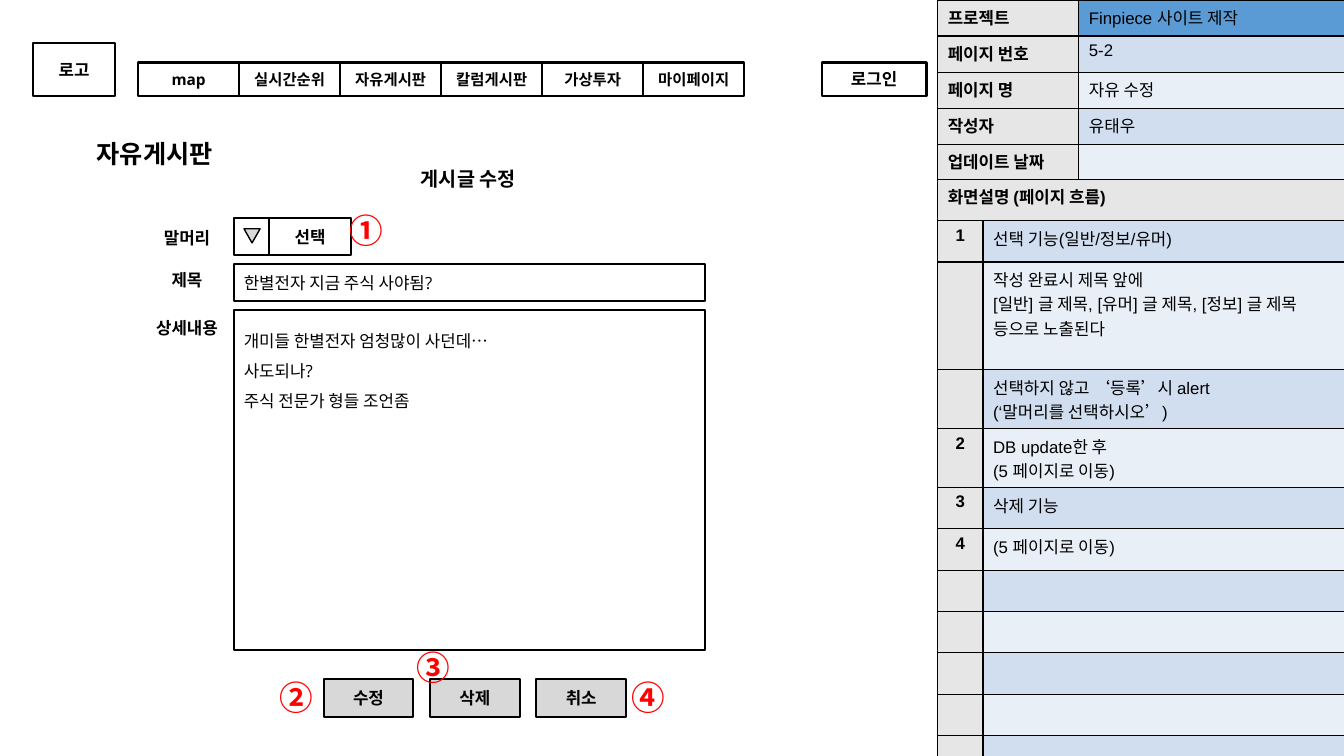
from collections import namedtuple

from lxml import etree
from pptx import Presentation, util as u
from pptx.dml.color import RGBColor
from pptx.enum import shapes, text
from pptx.oxml import ns

CELL = u.Inches(0.1)  # the slide is a grid of 133.3 columns by 75 rows
COLORS = {"ink": "000000", "mark": "FF0000", "button": "D8D8D8", "label": "E7E6E6",
          "title": "5B9BD5", "odd": "D0DEEF", "even": "E9EFF7"}
LEFT, CENTER = text.PP_ALIGN.LEFT, text.PP_ALIGN.CENTER
TOP, MIDDLE = text.MSO_ANCHOR.TOP, text.MSO_ANCHOR.MIDDLE
RECT = shapes.MSO_SHAPE.RECTANGLE
FIELD_HEIGHT = 3.7

Box = namedtuple("Box", "x y w h")


def within(box, x, y, w, h):
    return Box(box.x + x, box.y + y, w, h)


def emu(box):
    return [round(length * CELL) for length in box]


def rgb(name):
    return RGBColor.from_string(COLORS[name])


def write(frame, words, size=12, font="Open Sans", color="ink", bold=True,
          align=CENTER, anchor=MIDDLE, spacing=None, inset=(1, 1)):
    """Fill a text frame or table cell frame, one paragraph per line of words."""
    frame.word_wrap = True
    frame.vertical_anchor = anchor
    frame.margin_left = frame.margin_right = round(inset[0] * CELL)
    frame.margin_top = frame.margin_bottom = round(inset[1] * CELL)
    for index, line in enumerate(words.split("\n")):
        para = frame.add_paragraph() if index else frame.paragraphs[0]
        para.alignment = align
        para.line_spacing = spacing
        para.font.size = u.Pt(size)
        if line:
            span = para.add_run()
            span.text = line
            span.font.size, span.font.name, span.font.bold = u.Pt(size), font, bold
            span.font.color.rgb = rgb(color)


def add_label(page, box, words, **style):
    label = page.shapes.add_textbox(*emu(box))
    write(label.text_frame, words, **style)


def add_panel(page, box, words="", fill=None, kind=RECT, line=1.5, **style):
    panel = page.shapes.add_shape(kind, *emu(box))
    panel.shadow.inherit = False
    if fill:
        panel.fill.solid()
        panel.fill.fore_color.rgb = rgb(fill)
    else:
        panel.fill.background()
    panel.line.color.rgb = rgb("ink")
    panel.line.width = u.Pt(line)
    if words:
        write(panel.text_frame, words, **style)
    return panel


def add_mark(page, box, number):
    add_label(page, box, number, size=24, font="Noto Sans CJK KR", color="mark",
              align=LEFT, anchor=TOP, inset=(1, 0.5))


def draw_header(page, box):
    add_panel(page, within(box, 0, 0, 8.1, 5.2), "로고")
    menu = ["map", "실시간순위", "자유게시판", "칼럼게시판", "가상투자", "마이페이지"]
    for index, name in enumerate(menu):
        add_panel(page, within(box, 10.4 + index * 10.02, 1.9, 10.02, 3.3), name, size=11)
    add_panel(page, within(box, box.w - 10.4, 1.9, 10.4, 3.3), "로그인")


def draw_titles(page, box):
    add_label(page, within(box, 0, 0, 18.1, 3.7), "자유게시판", size=18)
    add_label(page, within(box, 31.1, 2.5, 18.1, 3.7), "게시글 수정", size=14)


def draw_form(page, box):
    labels = [("말머리", 0.15, 8.3), ("제목", 4.3, 8.3), ("상세내용", 9.1, 10.4)]
    for name, y, width in labels:
        add_label(page, within(box, 5.65 - width / 2, y, width, FIELD_HEIGHT), name)

    fields = within(box, 10.3, 0, box.w - 10.3, box.h)
    add_panel(page, within(fields, 0, 0, 3.5, FIELD_HEIGHT))
    add_panel(page, within(fields, 3.5, 0, 8.1, FIELD_HEIGHT), "선택")
    arrow = add_panel(page, within(fields, 1, 1.1, 1.6, 1.4), fill="button",
                      kind=shapes.MSO_SHAPE.ISOSCELES_TRIANGLE, line=1)
    arrow.rotation = 180
    add_panel(page, within(fields, 0, 4.6, fields.w, FIELD_HEIGHT),
              "한별전자 지금 주식 사야됨?", bold=False, align=LEFT)
    add_panel(page, within(fields, 0, 9.2, fields.w, fields.h - 9.2),
              "개미들 한별전자 엄청많이 사던데…\n사도되나?\n주식 전문가 형들 조언좀",
              bold=False, align=LEFT, anchor=TOP, spacing=1.5)
    add_mark(page, within(fields, 10.5, -1.3, 6, 5), "①")


def draw_buttons(page, box):
    for index, name in enumerate(["수정", "삭제", "취소"]):
        add_panel(page, within(box, index * 10.55, 0, 8.9, box.h), name, fill="button")
    for number, x, y in [("②", -5.4, -0.7), ("③", 8.2, -3.7), ("④", 29.6, -0.7)]:
        add_mark(page, within(box, x, y, 6, 5), number)


def outline_cell(cell):
    """Give a cell thin dark borders, which must come before its fill."""
    props = cell._tc.get_or_add_tcPr()
    for index, side in enumerate(["a:lnL", "a:lnR", "a:lnT", "a:lnB"]):
        border = etree.Element(ns.qn(side), w=str(u.Pt(1)))
        fill = etree.SubElement(border, ns.qn("a:solidFill"))
        etree.SubElement(fill, ns.qn("a:srgbClr"), val=COLORS["ink"])
        props.insert(index, border)


def draw_table(page, box, widths, heights, rows, fills, label_align):
    grid = page.shapes.add_table(len(rows), len(widths), *emu(box)).table
    for column, width in zip(grid.columns, widths):
        column.width = round(width * CELL)
    for line, height in zip(grid.rows, heights):
        line.height = round(height * CELL)
    for r, (row, fill) in enumerate(zip(rows, fills)):
        for c, words in enumerate(row):
            cell = grid.cell(r, c)
            cell.fill.solid()
            cell.fill.fore_color.rgb = rgb(fill if c else "label")
            outline_cell(cell)
            write(cell.text_frame, words, font="Arial", bold=c == 0,
                  align=LEFT if c else label_align, anchor=TOP)
            cell.vertical_anchor = TOP
            cell.margin_left = cell.margin_right = CELL
            cell.margin_top = cell.margin_bottom = CELL // 2
    return grid


def draw_project_info(page, box):
    rows = [("프로젝트", "Finpiece 사이트 제작"), ("페이지 번호", "5-2"),
            ("페이지 명", "자유 수정"), ("작성자", "유태우"), ("업데이트 날짜", "")]
    draw_table(page, box, [14, box.w - 14], [box.h / len(rows)] * len(rows), rows,
               ["title", "odd", "even", "odd", "even"], LEFT)


def draw_description(page, box):
    rows = [("화면설명 (페이지 흐름)", ""),
            ("1", "선택 기능(일반/정보/유머)"),
            ("", "작성 완료시 제목 앞에\n[일반] 글 제목, [유머] 글 제목, [정보] 글 제목\n등으로 노출된다"),
            ("", "선택하지 않고 ‘등록’시 alert\n(‘말머리를 선택하시오’)"),
            ("2", "DB update한 후\n(5 페이지로 이동)"),
            ("3", "삭제 기능"),
            ("4", "(5 페이지로 이동)")] + [("", "")] * 5
    heights = [4.1, 4.1, 10.7, 5.8, 5.8] + [4.1] * 7
    fills = ["label"] + ["odd" if r % 2 else "even" for r in range(1, len(rows))]
    grid = draw_table(page, box, [4.5, box.w - 4.5], heights, rows, fills, CENTER)
    grid.cell(0, 0).merge(grid.cell(0, 1))
    grid.cell(0, 0).text_frame.paragraphs[0].alignment = LEFT


def main():
    deck = Presentation()
    deck.slide_width, deck.slide_height = u.Inches(13.33), u.Inches(7.5)
    page = deck.slides.add_slide(deck.slide_layouts[6])
    draw_project_info(page, Box(93, 0, 40.4, 17.9))
    draw_description(page, Box(93, 17.8, 40.4, 57.2))
    draw_titles(page, Box(6.3, 13.4, 49.2, 6.2))
    draw_header(page, Box(3.3, 4.3, 88.6, 5.2))
    draw_form(page, Box(12.9, 21.6, 57, 42.9))
    draw_buttons(page, Box(32.1, 67.4, 30, FIELD_HEIGHT))
    deck.save("out.pptx")


if __name__ == "__main__":
    main()
